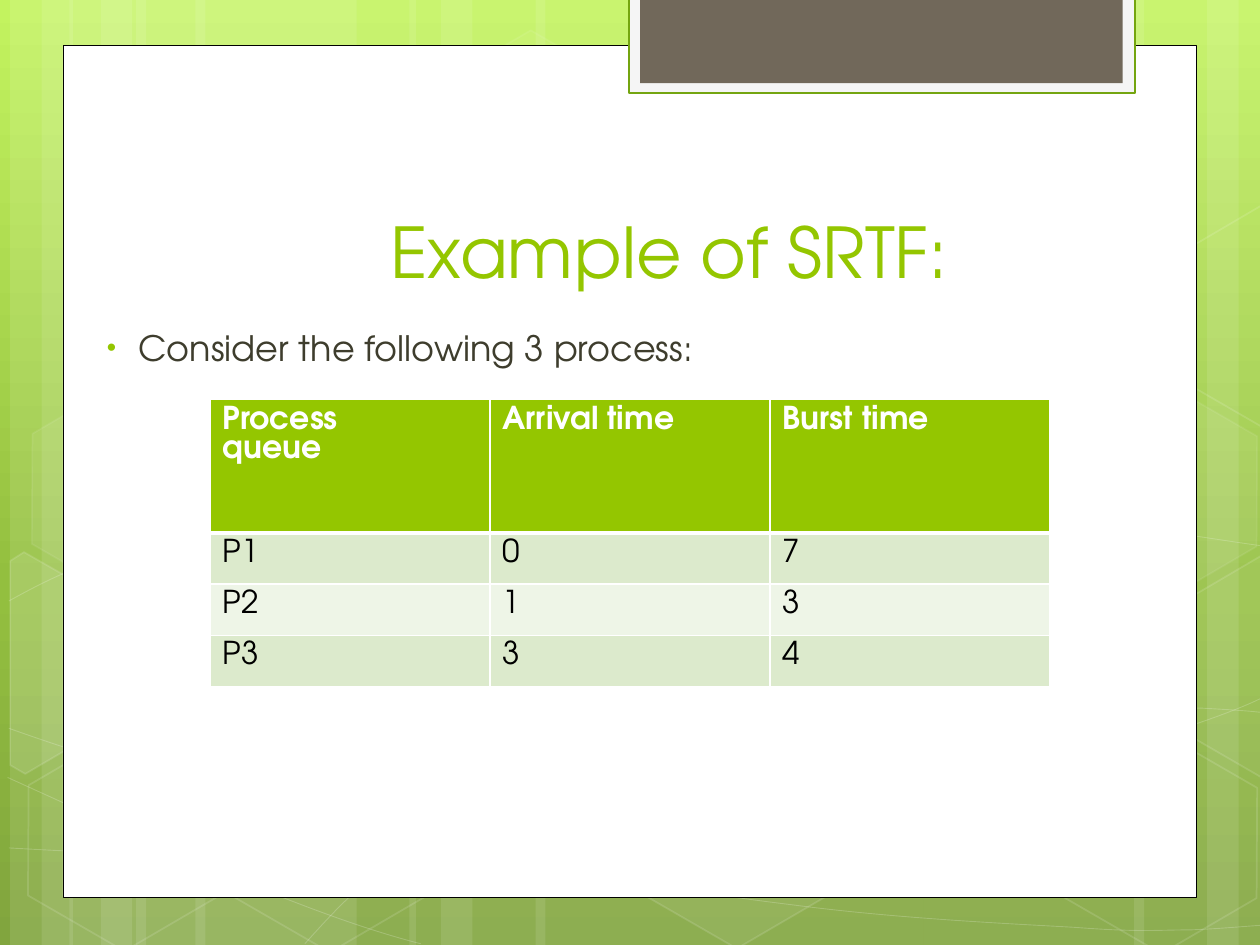
from math import cos, radians, sin

from lxml import etree
from pptx import Presentation
from pptx.dml.color import RGBColor
from pptx.enum.shapes import MSO_SHAPE as Preset
from pptx.enum.text import MSO_ANCHOR as Anchor
from pptx.oxml.ns import qn
from pptx.util import Inches, Pt

FONT = "TeX Gyre Adventor"
COLORS = {
    "white": "FFFFFF", "black": "000000", "green": "94C600", "body": "3E3D2D",
    "tab_frame": "F5F5F5", "tab_line": "74A510", "tab": "71685A",
    "band_dark": "DCEACC", "band_light": "EEF5E7",
}
BACKGROUND_STOPS = [(0, "C3F35F"), (62, "93BF3F"), (100, "81A53E")]


def style_shape(shape, fill=None, fill_alpha=100, line=None, width=1, line_alpha=100):
    """Set fill and line, with opacity in percent; None means no paint."""
    shape.shadow.inherit = False
    properties = shape._element.spPr
    for paint, color, alpha, tag in (
        (shape.fill, fill, fill_alpha, "a:solidFill"),
        (shape.line.fill, line, line_alpha, "a:ln/a:solidFill"),
    ):
        if color is None:
            paint.background()
            continue
        paint.solid()
        paint.fore_color.rgb = RGBColor.from_string(COLORS[color])
        if alpha < 100:
            steps = "/".join(qn(step) for step in tag.split("/"))
            rgb = properties.find(steps + "/" + qn("a:srgbClr"))
            etree.SubElement(rgb, qn("a:alpha"), val=str(alpha * 1000))
    if line:
        shape.line.width = Pt(width)


def format_paragraph(paragraph, size, color, bold=False):
    """Apply font, size, colour and weight to every run."""
    for run in paragraph.runs:
        run.font.name = FONT
        run.font.size = Pt(size)
        run.font.bold = bold
        run.font.color.rgb = RGBColor.from_string(COLORS[color])


presentation = Presentation()
presentation.slide_width, presentation.slide_height = Inches(10), Inches(7.5)
slide = presentation.slides.add_slide(presentation.slide_layouts[6])
shapes = slide.shapes

# Background gradient, light at the top
background = slide.background.fill
background.gradient()
background.gradient_angle = 270
stop_list = next(slide._element.iter(qn("a:gsLst")))
for stop in list(stop_list):
    stop_list.remove(stop)
for position, color in BACKGROUND_STOPS:
    stop = etree.SubElement(stop_list, qn("a:gs"), pos=str(position * 1000))
    etree.SubElement(stop, qn("a:srgbClr"), val=color)

# Vertical stripes: left, width, rotation
STRIPES = [
    (1.08, 1.75, 0), (0.08, 0.5, 0), (0.33, 0.83, 0), (1.55, 1.75, 0),
    (0.55, 0.5, 0), (0.8, 0.83, 0), (7.33, 1.75, 180), (9.58, 0.5, 180),
    (9, 0.83, 180), (4.25, 3.08, 0), (3.25, 0.5, 0), (3.5, 0.83, 0),
]
for left, width, rotation in STRIPES:
    stripe = shapes.add_shape(Preset.RECTANGLE, Inches(left), 0, Inches(width), Inches(7.5))
    stripe.rotation = rotation
    style_shape(stripe, "white", 10)

# Sweeping curves: a start point, then three points for each cubic segment
CURVES = [
    [(0.07, 6.73), (0.61, 6.76), (1.15, 6.79), (1.9, 6.78), (2.65, 6.77), (3.58, 6.75),
     (4.58, 6.65), (5.58, 6.55), (7, 6.36), (7.92, 6.17), (8.83, 5.98), (9.77, 5.68),
     (10.07, 5.51)],
    [(0.07, 4.77), (0.36, 4.61), (0.65, 4.46), (1.21, 4.31), (1.78, 4.16), (2.59, 3.94),
     (3.47, 3.87), (4.36, 3.8), (5.44, 3.79), (6.54, 3.87), (7.64, 3.95), (9.47, 4.26),
     (10.07, 4.34)],
    [(0.06, 6.17), (1.27, 6.72), (2.47, 7.27), (3.34, 7.49)],
    [(0.07, 5.78), (0.38, 5.89), (0.7, 6), (1.28, 6.16), (1.86, 6.31), (2.73, 6.56),
     (3.57, 6.73), (4.4, 6.9), (5.45, 7.08), (6.28, 7.18), (7.11, 7.29), (8, 7.33),
     (8.53, 7.36), (9.05, 7.4), (9.19, 7.38), (9.45, 7.38), (9.71, 7.37), (9.89, 7.35),
     (10.07, 7.34)],
    [(2.42, 7.49), (2.6, 7.29), (2.78, 7.09), (3.02, 6.91), (3.26, 6.73), (3.6, 6.53),
     (3.88, 6.39), (4.16, 6.25), (4.33, 6.19), (4.7, 6.09), (5.06, 5.99), (5.73, 5.85),
     (6.08, 5.78), (6.44, 5.71), (6.49, 5.71), (6.8, 5.69), (7.11, 5.66), (7.6, 5.63),
     (7.94, 5.62), (8.29, 5.61), (8.86, 5.62), (8.86, 5.62), (8.86, 5.62), (9.53, 5.62),
     (9.53, 5.62), (9.71, 5.63), (9.88, 5.64), (9.97, 5.65), (10.06, 5.66),
     (10.03, 5.65), (10.06, 5.66)],
]
for curve in CURVES:
    points = [(Inches(x), Inches(y)) for x, y in curve]
    builder = shapes.build_freeform(*points[0])
    builder.add_line_segments(points[1:], close=False)
    sweep = builder.convert_to_shape()
    # Turn every three straight steps into one cubic segment
    outline = next(sweep._element.iter(qn("a:path")))
    line_steps = outline.findall(qn("a:lnTo"))
    for index in range(0, len(line_steps), 3):
        cubic = etree.SubElement(outline, qn("a:cubicBezTo"))
        for line_step in line_steps[index:index + 3]:
            cubic.append(line_step[0])
            outline.remove(line_step)
    style_shape(sweep, line="white", width=0.5, line_alpha=20)

# Hexagons: left, top, fill opacity, line opacity
HEXAGONS = [
    (3.34, 0.36, 4, 8), (4.97, 5.89, 6, 12), (0.11, 5.91, 0, 12),
    (0.14, 3.12, 7, 8), (1.74, 5.92, 0, 12), (7.53, 4.53, 10, 12),
    (8.34, 5.93, 0, 12), (8.34, 3.14, 7, 8),
]
for left, top, fill_alpha, line_alpha in HEXAGONS:
    hexagon = shapes.add_shape(
        Preset.HEXAGON, Inches(left), Inches(top), Inches(1.75), Inches(1.52))
    hexagon.adjustments[0] = 0.285
    hexagon.rotation = 30
    style_shape(hexagon, "white" if fill_alpha else None, fill_alpha, "white", 1, line_alpha)

# Hexagons cut off by the slide edge: fill opacity, centre, corners as they show
CUT_HEXAGONS = [
    (10, (0.36, 5.35), [(0.08, 4.45), (0.19, 4.38), (0.96, 4.82), (0.95, 5.7),
                        (0.2, 6.14), (0.08, 6.07)]),
    (4, (9.85, 5.2), [(9.26, 4.85), (10.01, 4.41), (10.09, 4.46), (10.09, 6.13),
                      (10.02, 6.17), (9.26, 5.73)]),
    (0, (9.85, 2.41), [(9.26, 2.07), (10.01, 1.63), (10.1, 1.68), (10.09, 3.35),
                       (10.02, 3.39), (9.26, 2.95)]),
]
cosine, sine = cos(radians(30)), sin(radians(30))
for fill_alpha, (center_x, center_y), corners in CUT_HEXAGONS:
    upright = [
        (Inches(center_x + (x - center_x) * cosine + (y - center_y) * sine),
         Inches(center_y - (x - center_x) * sine + (y - center_y) * cosine))
        for x, y in corners
    ]
    builder = shapes.build_freeform(*upright[0])
    builder.add_line_segments(upright[1:], close=True)
    cut_hexagon = builder.convert_to_shape()
    cut_hexagon.rotation = 30
    style_shape(cut_hexagon, "white" if fill_alpha else None, fill_alpha, "white", 1, 12)

# White page and the tab at its top: box, fill, line, line width
PANELS = [
    ((0.5, 0.36, 9, 6.76), "white", "black", 0.5),
    ((4.99, -0.02, 4.02, 0.76), "tab_frame", "tab_line", 1.25),
    ((5.08, -0.02, 3.83, 0.68), "tab", None, 0),
]
for box, fill, line, width in PANELS:
    panel = shapes.add_shape(Preset.RECTANGLE, *map(Inches, box))
    style_shape(panel, fill, line=line, width=width)

# Title
title = shapes.add_textbox(Inches(0), Inches(1.12), Inches(7.68), Inches(1.25))
title.text_frame.word_wrap = True
title.text_frame.vertical_anchor = Anchor.BOTTOM
title.text_frame.text = "Example of SRTF:"
paragraph = title.text_frame.paragraphs[0]
paragraph._p.get_or_add_pPr().set("marL", str(Inches(3)))
format_paragraph(paragraph, 40, "green")

# Bulleted sentence
body = shapes.add_textbox(Inches(0), Inches(2.54), Inches(7.41), Inches(3.84))
body.text_frame.word_wrap = True
body.text_frame.text = "Consider the following 3 process:"
paragraph = body.text_frame.paragraphs[0]
paragraph.space_before = Pt(4)
format_paragraph(paragraph, 20, "body")
properties = paragraph._p.get_or_add_pPr()
properties.set("marL", str(Inches(1)))
properties.set("indent", str(Inches(-0.25)))
bullet_color = etree.SubElement(properties, qn("a:buClr"))
etree.SubElement(bullet_color, qn("a:srgbClr"), val=COLORS["green"])
etree.SubElement(properties, qn("a:buSzPct"), val="76000")
etree.SubElement(properties, qn("a:buFont"), typeface="Arial")
etree.SubElement(properties, qn("a:buChar"), char="•")

# Process table
ROWS = [("Process \nqueue", "Arrival time ", "Burst time"),
        ("P1", "0", "7"), ("P2", "1", "3"), ("P3", "3", "4")]
ROW_FILLS = ["green", "band_dark", "band_light", "band_dark"]
table = shapes.add_table(
    4, 3, Inches(5 / 3), Inches(3.17), Inches(20 / 3), Inches(2.28)).table
for row_index, texts in enumerate(ROWS):
    header = row_index == 0
    table.rows[row_index].height = Inches(1.06) if header else Inches(1.22 / 3)
    for column_index, text in enumerate(texts):
        cell = table.cell(row_index, column_index)
        cell.text_frame.text = text
        for paragraph in cell.text_frame.paragraphs:
            format_paragraph(paragraph, 18, "white" if header else "black", header)
        cell_properties = cell._tc.get_or_add_tcPr()
        for side in ("L", "R", "T", "B"):
            thick = (header and side == "B") or (row_index == 1 and side == "T")
            border = etree.SubElement(
                cell_properties, qn("a:ln" + side), w=str(Pt(3 if thick else 1)))
            border_fill = etree.SubElement(border, qn("a:solidFill"))
            etree.SubElement(border_fill, qn("a:srgbClr"), val=COLORS["white"])
        cell.fill.solid()
        cell.fill.fore_color.rgb = RGBColor.from_string(COLORS[ROW_FILLS[row_index]])

presentation.save("out.pptx")
